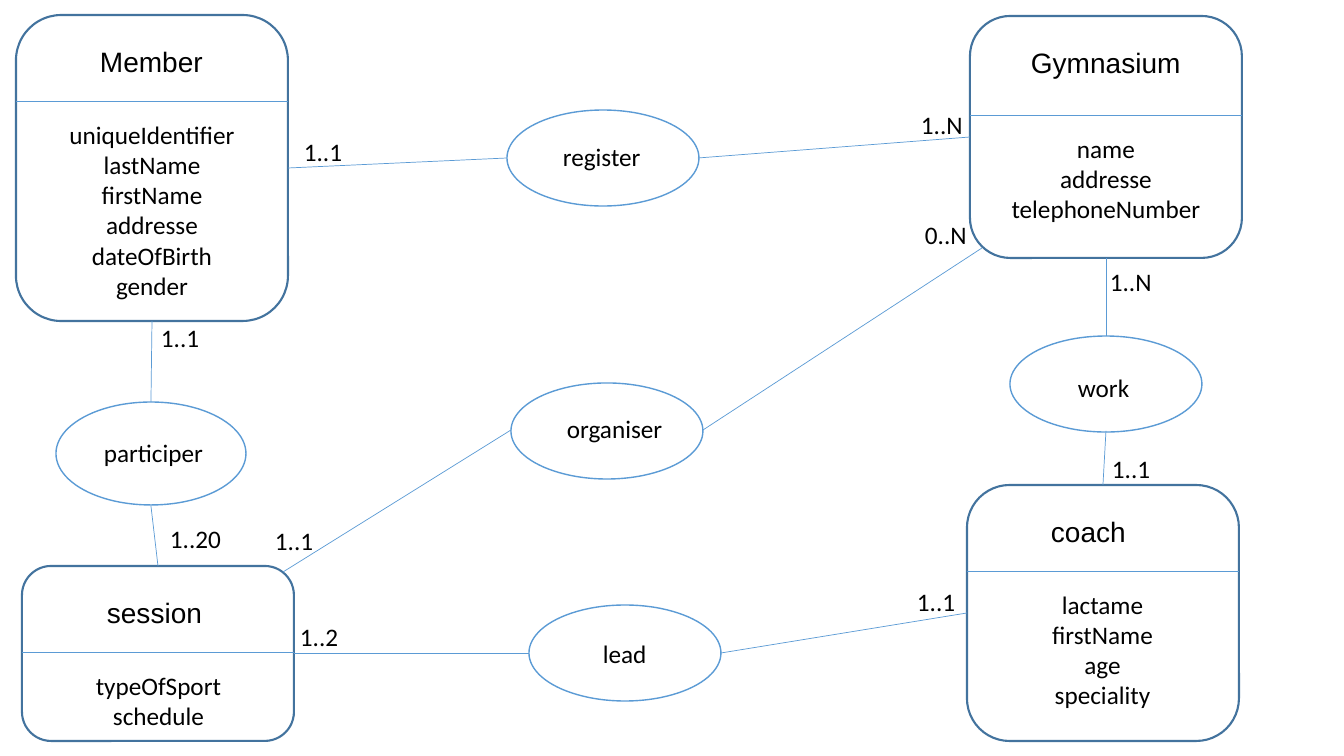
import pptx
import pptx.util
import pptx.dml.color
import pptx.enum.shapes
import pptx.enum.text
import lxml.etree

SHAPE = pptx.enum.shapes.MSO_SHAPE
ALIGN = pptx.enum.text.PP_ALIGN
EMU_PER_PX = 914400 / 100.8


def px(n):
    """Turn picture pixels into EMU."""
    return round(n * EMU_PER_PX)


def color(hex_string):
    """Turn a hex string into an RGB colour."""
    return pptx.dml.color.RGBColor.from_string(hex_string)


class Diagram:
    """Holds the style and the current slide of the diagram."""

    TITLE = {"name": "Arial", "size": pptx.util.Pt(20)}
    BODY = {"name": "Calibri", "size": pptx.util.Pt(18)}
    TEXT, BORDER, LINK = "000000", "43739E", "5B9BD5"
    ENTITY_W, TITLE_TOP, ATTRIBUTE_GAP = 272, 25, 13

    def __init__(self, slide):
        """Keep the slide to draw on."""
        self.s = slide

    def text(self, x, y, w, h, words, style=BODY, align=ALIGN.LEFT):
        """Add a text box; a vertical tab breaks a line in a paragraph."""
        tf = self.s.shapes.add_textbox(px(x), px(y), px(w), px(h)).text_frame
        tf.word_wrap = False
        tf.text = words
        for p in tf.paragraphs:
            p.alignment = align
            for r in p.runs:
                for key, value in style.items():
                    setattr(r.font, key, value)
                r.font.color.rgb = color(self.TEXT)

    def outline(self, kind, x, y, w, h, line, width):
        """Add an unfilled preset shape."""
        sp = self.s.shapes.add_shape(kind, px(x), px(y), px(w), px(h))
        sp.shadow.inherit = False
        sp.fill.background()
        sp.line.color.rgb = color(line)
        sp.line.width = pptx.util.Pt(width)

    def line(self, x1, y1, x2, y2):
        """Add a thin straight connector."""
        c = self.s.shapes.add_connector(
            pptx.enum.shapes.MSO_CONNECTOR.STRAIGHT, px(x1), px(y1), px(x2), px(y2))
        c.line.color.rgb = color(self.LINK)
        c.line.width = pptx.util.Pt(0.5)
        lxml.etree.SubElement(c.element.spPr, pptx.oxml.ns.qn("a:effectLst"))

    def entity(self, x, y, h, divider, title, attributes):
        """Add a rounded box with a title, a divider and attributes."""
        self.outline(SHAPE.ROUNDED_RECTANGLE, x, y, self.ENTITY_W, h, self.BORDER, 1.5)
        title_x, title_w, name = title
        self.text(title_x, y + self.TITLE_TOP, title_w, 75, name, self.TITLE)
        self.line(x, y + divider, x + self.ENTITY_W, y + divider)
        left, w, height, words = attributes
        self.text(left, y + divider + self.ATTRIBUTE_GAP, w, height, words,
                  align=ALIGN.CENTER)

    def relation(self, x, y, label, w=192, h=96):
        """Add an ellipse with its label."""
        self.outline(SHAPE.OVAL, x, y, w, h, self.LINK, 1)
        self.text(*label[:3], 40, label[3])


ENTITIES = [
    (970, 16, 242, 99, (1021, 171, "Gymnasium"),
     (1000, 212, 102, "name\vaddresse\ntelephoneNumber")),
    (16, 15, 306, 86, (90, 124, "Member"),
     (58, 188, 194, "uniqueIdentifier\vlastName\n"
                    "firstName\vaddresse\vdateOfBirth\vgender")),
    (22, 566, 175, 86, (97, 116, "session"),
     (85, 147, 72, "typeOfSport\vschedule")),
    (967, 485, 256, 86, (1041, 96, "coach"),
     (1041, 123, 132, "lactame\vfirstName\vage\vspeciality")),
]
RELATIONS = [
    (507, 110, (553, 136, 99, "register")),
    (56, 402, (94, 432, 120, "participer"), 190, 103),
    (529, 605, (593, 633, 65, "lead")),
    (511, 383, (557, 408, 117, "organiser")),
    (1010, 336, (1068, 367, 73, "work")),
]
LINKS = [
    (288, 168, 507, 158), (698, 158, 970, 137),
    (152, 321, 151, 402), (151, 506, 158, 566),
    (529, 653, 294, 653), (721, 653, 967, 613),
    (703, 430, 982, 248), (511, 430, 283, 572),
    (1106, 336, 1106, 258), (1106, 431, 1103, 485),
]
CARDINALITIES = [
    (294, 131, 62, "1..1"), (911, 104, 62, "1..N"), (160, 518, 72, "1..20"),
    (151, 317, 62, "1..1"), (290, 616, 62, "1..2"), (907, 581, 62, "1..1"),
    (1100, 261, 62, "1..N"), (1102, 448, 62, "1..1"), (265, 520, 62, "1..1"),
    (915, 214, 62, "0..N"),
]

prs = pptx.Presentation()
prs.slide_width, prs.slide_height = px(1344), px(756)
diagram = Diagram(prs.slides.add_slide(prs.slide_layouts[6]))
for entity in ENTITIES:
    diagram.entity(*entity)
for relation in RELATIONS:
    diagram.relation(*relation)
for link in LINKS:
    diagram.line(*link)
for x, y, w, words in CARDINALITIES:
    diagram.text(x, y, w, 40, words)
prs.save("out.pptx")
